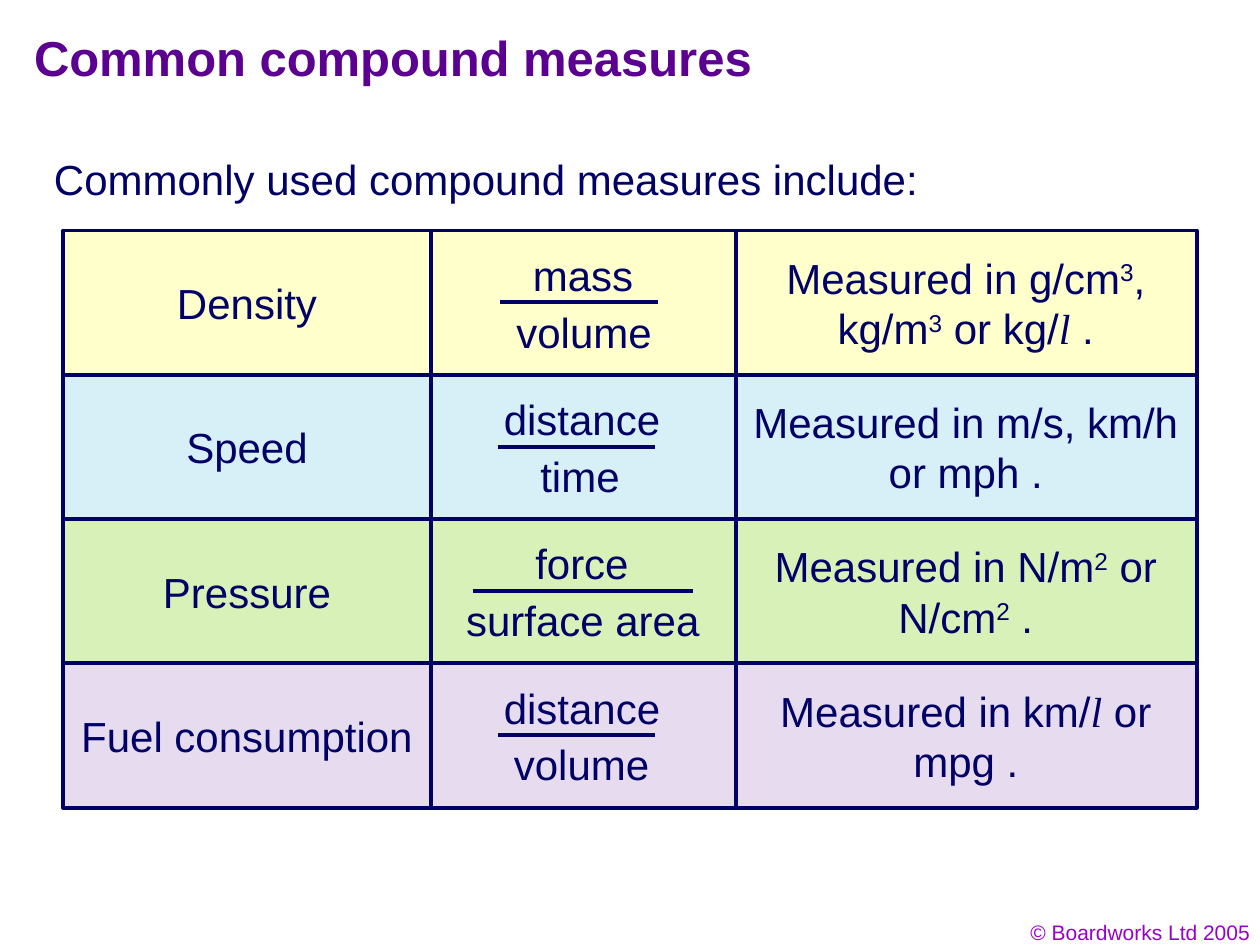
from typing import NamedTuple

from lxml import etree
from pptx import Presentation
from pptx.dml.color import RGBColor
from pptx.enum import shapes, text
from pptx.oxml import ns
from pptx.util import Inches, Pt

NAVY = "010066"
EDGE = "000066"
LEFT, TOP, HIGH = 0.5, 1.83, 4.58 / 4
WIDE = (2.92, 2.42, 3.67)
MID = LEFT + WIDE[0]
LAST = 5.83


class Run(NamedTuple):
    words: str
    kind: str = ""


class Term(NamedTuple):
    words: str
    left: float
    width: float


class Row(NamedTuple):
    name: str
    fill: str
    over: Term
    under: Term
    bar: tuple[float, float]
    units: list[Run]


LITRE = Run("l", "slant")
ROWS = [
    Row("Density", "FFFFCC", Term("mass", 4.13, 1.02), Term("volume", 4, 1.3), (3.97, 5.22),
        [Run("Measured in g/cm"), Run("3", "super"), Run(", kg/m"), Run("3", "super"),
         Run(" or kg/"), LITRE, Run(" .")]),
    Row("Speed", "D7EFF7", Term("distance", 3.9, 1.47), Term("time", 4.19, 0.85), (3.95, 5.2),
        [Run("Measured in m/s, km/h or mph .")]),
    Row("Pressure", "D8F1B9", Term("force", 4.15, 0.97), Term("surface area", 3.6, 2.08),
        (3.75, 5.5),
        [Run("Measured in N/m"), Run("2", "super"), Run(" or N/cm"), Run("2", "super"),
         Run(" .")]),
    Row("Fuel consumption", "E7DBEF", Term("distance", 3.9, 1.47), Term("volume", 3.98, 1.3),
        (3.95, 5.2),
        [Run("Measured in km/"), LITRE, Run(" or mpg .")]),
]


def tint(code: str) -> RGBColor:
    return RGBColor.from_string(code)


def write(shape, runs: list[Run], size: float = 24, color: str = NAVY, bold: bool = False,
          align=text.PP_ALIGN.LEFT, anchor=text.MSO_ANCHOR.TOP, wrap: bool = True,
          fit=text.MSO_AUTO_SIZE.NONE) -> None:
    frame = shape.text_frame
    form = {"word_wrap": wrap, "auto_size": fit, "vertical_anchor": anchor,
            "margin_left": Inches(0.1), "margin_right": Inches(0.1),
            "margin_top": Inches(0.05), "margin_bottom": Inches(0.05)}
    for key, value in form.items():
        setattr(frame, key, value)
    para = frame.paragraphs[0]
    para.alignment = align
    for item in runs:
        run = para.add_run()
        run.text = item.words
        slant = item.kind == "slant"
        face = {"name": "Times New Roman" if slant else "Arial", "size": Pt(size),
                "bold": bold, "italic": slant}
        for key, value in face.items():
            setattr(run.font, key, value)
        run.font.color.rgb = tint(color)
        if item.kind == "super":
            run._r.get_or_add_rPr().set("baseline", "30000")


def label(slide, words: str, left: float, top: float, width: float, height: float = 0.5,
          **form) -> None:
    box = slide.shapes.add_textbox(Inches(left), Inches(top), Inches(width), Inches(height))
    write(box, [Run(words)], fit=text.MSO_AUTO_SIZE.SHAPE_TO_FIT_TEXT, **form)


def cell(slide, left: float, top: float, width: float, fill: str):
    box = slide.shapes.add_shape(shapes.MSO_SHAPE.RECTANGLE, Inches(left), Inches(top),
                                 Inches(width), Inches(HIGH))
    box.shadow.inherit = False
    box.fill.solid()
    box.fill.fore_color.rgb = tint(fill)
    box.line.color.rgb = tint(EDGE)
    box.line.width = Pt(2.25)
    return box


def rule(slide, start: float, end: float, top: float) -> None:
    line = slide.shapes.add_connector(shapes.MSO_CONNECTOR.STRAIGHT, Inches(start), Inches(top),
                                      Inches(end), Inches(top))
    line.line.color.rgb = tint(EDGE)
    line.line.width = Pt(2.25)
    etree.SubElement(line._element.spPr, ns.qn("a:effectLst"))


def draw(slide, row: Row, top: float) -> None:
    form = {"align": text.PP_ALIGN.CENTER, "anchor": text.MSO_ANCHOR.MIDDLE}
    write(cell(slide, LEFT, top, WIDE[0], row.fill), [Run(row.name)], wrap=False, **form)
    write(cell(slide, LAST, top, WIDE[2], row.fill), row.units, **form)
    cell(slide, MID, top, WIDE[1], row.fill)
    for term, drop in ((row.over, 0.1), (row.under, 0.55)):
        label(slide, term.words, term.left, top + drop, term.width, wrap=False)
    rule(slide, *row.bar, top + 0.57)


def main() -> None:
    deck = Presentation()
    deck.slide_width, deck.slide_height = Inches(10), Inches(7.5)
    slide = deck.slides.add_slide(deck.slide_layouts[5])
    title = slide.shapes.title
    place = {"left": 0.17, "top": 0.17, "width": 8.5, "height": 0.67}
    for key, value in place.items():
        setattr(title, key, Inches(value))
    write(title, [Run("Common compound measures")], size=28, color="5B0091", bold=True)
    label(slide, "Commonly used compound measures include:", 0.33, 1.17, 9.5)
    for index, row in enumerate(ROWS):
        draw(slide, row, TOP + index * HIGH)
    label(slide, "© Boardworks Ltd 2005", 7.69, 7.25, 2.33, 0.3, size=12, color="9900CC",
          align=text.PP_ALIGN.RIGHT)
    deck.save("out.pptx")


if __name__ == "__main__":
    main()
